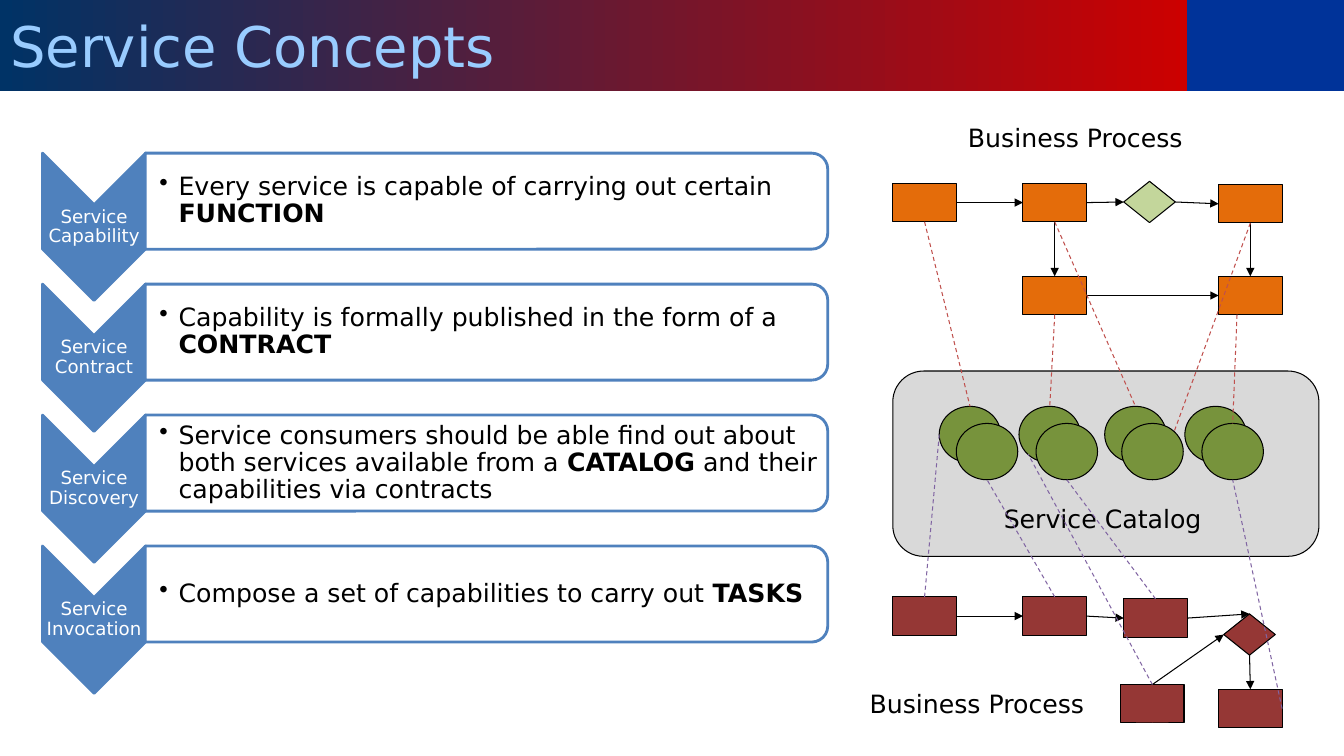
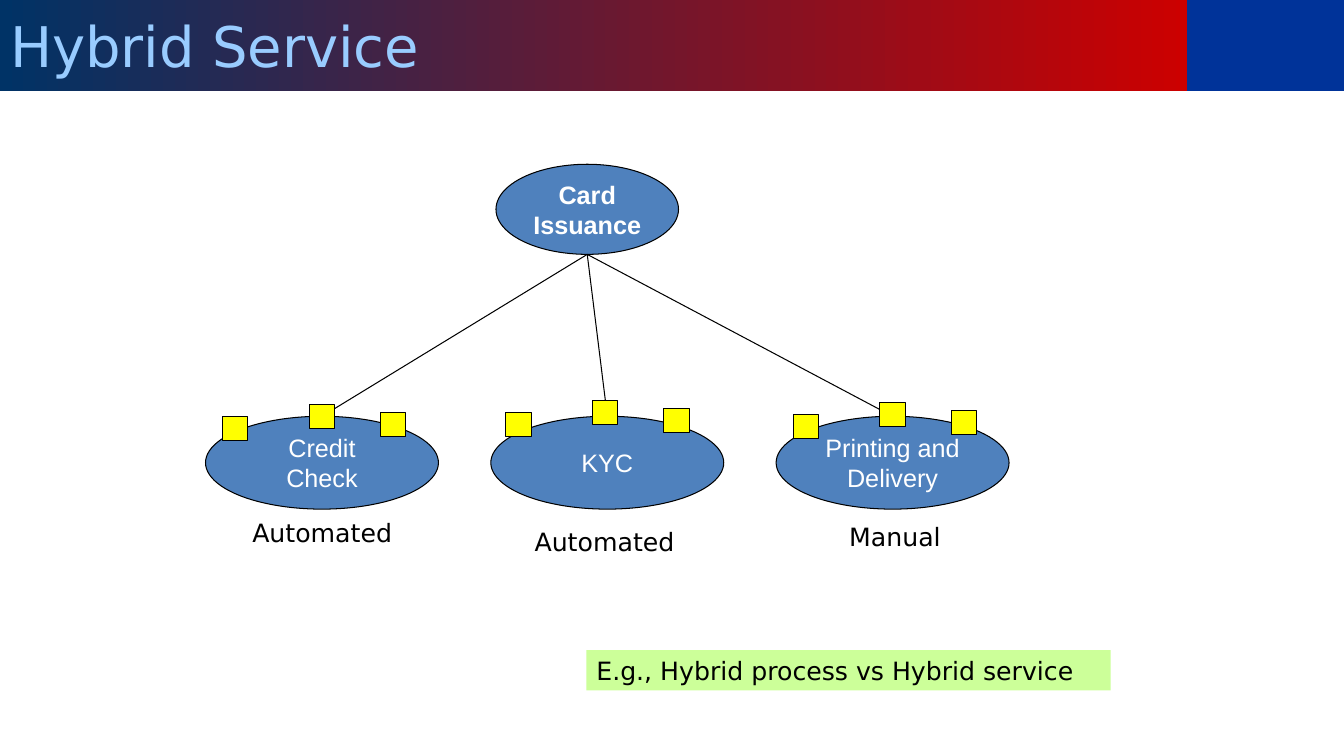
from dataclasses import dataclass
from typing import NamedTuple

from lxml import etree
from pptx import Presentation
from pptx.dml.color import RGBColor
from pptx.enum.dml import MSO_LINE
from pptx.enum.shapes import MSO_CONNECTOR, MSO_SHAPE
from pptx.enum.text import MSO_ANCHOR, PP_ALIGN
from pptx.oxml.ns import qn
from pptx.util import Cm, Pt

RECTANGLE = MSO_SHAPE.RECTANGLE
DIAMOND = MSO_SHAPE.DIAMOND
OVAL = MSO_SHAPE.OVAL
CHEVRON = MSO_SHAPE.CHEVRON
ROUNDED = MSO_SHAPE.ROUNDED_RECTANGLE
ROUND_TOP = MSO_SHAPE.ROUND_2_SAME_RECTANGLE
STRAIGHT = MSO_CONNECTOR.STRAIGHT
DASH = MSO_LINE.DASH
LEFT_ALIGN, CENTER = PP_ALIGN.LEFT, PP_ALIGN.CENTER
MIDDLE = MSO_ANCHOR.MIDDLE

SANS, ARIAL = "DejaVu Sans", "Arial"
TITLE_ONLY = 5
BAND_HEIGHT = 2.29
TITLE_WIDTH = 29.92
SLIDE_WIDTH, SLIDE_HEIGHT = 33.87, 19.05

COLORS = {
    "black": "000000", "white": "FFFFFF", "band": "003399",
    "title": "99CCFF", "title_start": "003366", "title_end": "CC0000",
    "blue": "4F81BD", "catalog": "D9D9D9", "orange": "E46C0A",
    "pale_green": "C3D69B", "green": "77933C", "maroon": "953735",
    "red": "C0504D", "purple": "8064A2", "yellow": "FFFF00", "note": "CCFF99",
}


class Box(NamedTuple):
    left: float
    top: float
    width: float
    height: float


class Side(NamedTuple):
    """A point on a shape, as fractions of its width and height."""
    across: float
    down: float


TOP, LEFT, BOTTOM, RIGHT = Side(0.5, 0), Side(0, 0.5), Side(0.5, 1), Side(1, 0.5)
TOP_RIGHT, BOTTOM_LEFT = Side(0.85, 0.15), Side(0.15, 0.85)
BOTTOM_EDGE = Side(0.29, 1)
SITES = {TOP: 0, LEFT: 1, BOTTOM: 2, RIGHT: 3}


@dataclass(frozen=True)
class Node:
    name: str
    left: float
    top: float
    color: str
    kind: int = RECTANGLE
    width: float = 1.6
    height: float = 0.97


class Link(NamedTuple):
    start: str
    start_side: Side
    end: str
    end_side: Side


class Label(NamedTuple):
    text: str
    box: Box


class Step(NamedTuple):
    name: str
    before: str
    keyword: str
    after: str = ""


class Service(NamedTuple):
    name: str
    left: float
    tags_left: float
    tags_top: float


def diamond(name: str, left: float, top: float, color: str) -> Node:
    return Node(name, left, top, color, DIAMOND, 1.3, 1.04)


STEPS = [
    Step("Service Capability",
         "Every service is capable of carrying out certain ", "FUNCTION"),
    Step("Service Contract",
         "Capability is formally published in the form of a ", "CONTRACT"),
    Step("Service Discovery",
         "Service consumers should be able find out about both services "
         "available from a ", "CATALOG", " and their capabilities via contracts"),
    Step("Service Invocation",
         "Compose a set of capabilities to carry out ", "TASKS"),
]
STEP_TOP, STEP_PITCH = 3.86, 3.3

PROCESS_NODES = [
    Node("order", 22.5, 4.62, "orange"),
    Node("review", 25.78, 4.62, "orange"),
    Node("finish", 30.71, 4.65, "orange"),
    Node("prepare", 25.78, 6.96, "orange"),
    diamond("choice", 28.32, 4.57, "pale_green"),
    Node("deliver", 30.71, 6.96, "orange"),
    Node("request", 22.5, 15.04, "maroon"),
    Node("check", 25.78, 15.04, "maroon"),
    Node("retry", 28.24, 17.25, "maroon"),
    Node("assess", 28.32, 15.09, "maroon"),
    diamond("decision", 30.84, 15.47, "maroon"),
    Node("close", 30.71, 17.37, "maroon"),
]
SERVICE_LEFTS = [23.67, 25.68, 27.84, 29.86]
SERVICE_NODES = [
    Node(f"{layer}{number}", left + shift, 10.24 + shift, "green", OVAL, 1.55, 1.42)
    for layer, shift in (("back", 0), ("front", 0.43))
    for number, left in enumerate(SERVICE_LEFTS, 1)
]

FLOW_LINKS = [
    Link("order", RIGHT, "review", LEFT),
    Link("review", RIGHT, "choice", LEFT),
    Link("choice", RIGHT, "finish", LEFT),
    Link("finish", BOTTOM, "deliver", TOP),
    Link("review", BOTTOM, "prepare", TOP),
    Link("prepare", RIGHT, "deliver", LEFT),
    Link("request", RIGHT, "check", LEFT),
    Link("retry", TOP, "decision", LEFT),
    Link("decision", BOTTOM, "close", TOP),
    Link("check", RIGHT, "assess", LEFT),
    Link("assess", RIGHT, "decision", TOP),
]
UPPER_LINKS = [
    Link("order", BOTTOM, "back1", TOP),
    Link("review", BOTTOM, "back3", TOP),
    Link("finish", BOTTOM, "front3", TOP_RIGHT),
    Link("prepare", BOTTOM, "back2", TOP),
    Link("deliver", BOTTOM_EDGE, "front4", TOP),
]
LOWER_LINKS = [
    Link("request", TOP, "back1", LEFT),
    Link("check", TOP, "front1", BOTTOM),
    Link("assess", TOP, "front2", BOTTOM),
    Link("retry", TOP, "back2", BOTTOM_LEFT),
    Link("close", RIGHT, "front4", BOTTOM),
]
CONCEPT_LABELS = [
    Label("Business Process", Box(24.1, 2.97, 6, 1.02)),
    Label("Service Catalog", Box(25.02, 12.55, 5.54, 1.02)),
    Label("Business Process", Box(21.62, 17.22, 6, 1.02)),
]

SERVICES = [
    Service("Credit Check", 5.18, 5.61, 10.49),
    Service("KYC", 12.37, 12.75, 10.39),
    Service("Printing and Delivery", 19.56, 19.99, 10.44),
]
TAG_OFFSETS = [(0, 0), (2.18, -0.3), (3.98, -0.1)]
SERVICE_LABELS = [
    Label("Automated", Box(6.1, 12.9, 4.04, 1.02)),
    Label("Automated", Box(12.67, 13.13, 5.13, 1.02)),
    Label("Manual", Box(19.99, 13, 5.13, 1.02)),
]


def rgb(name: str) -> RGBColor:
    return RGBColor.from_string(COLORS[name])


def lengths(box: Box) -> list:
    return [Cm(value) for value in box]


def add_shape(page, kind, box: Box, fill: str, line: str | None = "black",
              line_width: float = 0.75):
    shape = page.shapes.add_shape(kind, *lengths(box))
    shape.shadow.inherit = False
    shape.fill.solid()
    shape.fill.fore_color.rgb = rgb(fill)
    if line:
        shape.line.color.rgb = rgb(line)
        shape.line.width = Pt(line_width)
    else:
        shape.line.fill.background()
    return shape


def add_turned_shape(page, kind, box: Box, fill: str) -> None:
    """Turn a shape a quarter to the right so that it covers the box."""
    shift = (box.width - box.height) / 2
    upright = Box(box.left + shift, box.top - shift, box.height, box.width)
    add_shape(page, kind, upright, fill, "blue", 2).rotation = 90


def style_paragraph(para, size: float, color: str, align=LEFT_ALIGN,
                    font: str = SANS, bold: bool | None = None) -> None:
    para.alignment = align
    para.font.size = Pt(size)
    para.font.name = font
    para.font.bold = bold
    para.font.color.rgb = rgb(color)


def add_text_frame(page, box: Box, side_margin: float, margin: float):
    frame = page.shapes.add_textbox(*lengths(box)).text_frame
    frame.word_wrap = True
    frame.vertical_anchor = MIDDLE
    frame.margin_left = Cm(side_margin)
    frame.margin_right = frame.margin_top = frame.margin_bottom = Cm(margin)
    return frame


def add_label(page, label: Label) -> None:
    frame = page.shapes.add_textbox(*lengths(label.box)).text_frame
    frame.word_wrap = False
    frame.text = label.text
    style_paragraph(frame.paragraphs[0], 18, "black", CENTER)


def add_oval(page, text: str, box: Box, bold: bool = False):
    oval = add_shape(page, OVAL, box, "blue")
    oval.text_frame.text = text
    oval.text_frame.vertical_anchor = MIDDLE
    style_paragraph(oval.text_frame.paragraphs[0], 18, "white", CENTER, ARIAL, bold)
    return oval


def add_link(page, start, start_side: Side, end, end_side: Side,
             color: str = "black", dashed: bool = False, arrow: bool = False) -> None:
    ends = [(start, start_side), (end, end_side)]
    points = [
        length
        for shape, side in ends
        for length in (shape.left + int(shape.width * side.across),
                       shape.top + int(shape.height * side.down))
    ]
    connector = page.shapes.add_connector(STRAIGHT, *points)
    for (shape, side), connect in zip(ends, (connector.begin_connect,
                                             connector.end_connect)):
        # An ellipse shares only its top site number with a rectangle.
        if side == TOP or (side in SITES and shape.auto_shape_type != OVAL):
            connect(shape, SITES[side])
    connector.line.color.rgb = rgb(color)
    connector.line.width = Pt(0.75)
    if dashed:
        connector.line.dash_style = DASH
    properties = connector.element.spPr
    if arrow:
        etree.SubElement(properties.get_or_add_ln(), qn("a:tailEnd"), type="triangle")
    etree.SubElement(properties, qn("a:effectLst"))


def add_step(page, step: Step, top: float) -> None:
    add_turned_shape(page, CHEVRON, Box(1.07, top, 2.6, 3.71), "blue")
    name = add_text_frame(page, Box(1.07, top + 1.3, 2.6, 1.12), 0.03, 0.03)
    name.text = step.name
    name.paragraphs[0].line_spacing = 0.9
    style_paragraph(name.paragraphs[0], 13, "white", CENTER)

    add_turned_shape(page, ROUND_TOP, Box(3.66, top, 17.2, 2.42), "white")
    frame = add_text_frame(page, Box(3.66, top + 0.12, 17.07, 2.18), 0.36, 0.03)
    para = frame.paragraphs[0]
    para.line_spacing = 0.9
    properties = para._p.get_or_add_pPr()
    properties.set("marL", str(Cm(0.48)))
    properties.set("indent", str(-Cm(0.48)))
    etree.SubElement(properties, qn("a:buChar"), char="•")
    style_paragraph(para, 18, "black")
    for text in filter(None, (step.before, step.keyword, step.after)):
        span = para.add_run()
        span.text = text
        if text == step.keyword:
            span.font.bold = True


def add_page(deck, layout, title: str):
    page = deck.slides.add_slide(layout)
    bar = page.shapes.title
    bar.left, bar.top, bar.width, bar.height = lengths(
        Box(0, 0, TITLE_WIDTH, BAND_HEIGHT))
    bar.fill.gradient()
    bar.fill.gradient_angle = 0
    for stop, color in zip(bar.fill.gradient_stops, ("title_start", "title_end")):
        stop.color.rgb = rgb(color)
    bar.text_frame.text = title
    bar.text_frame.vertical_anchor = MIDDLE
    style_paragraph(bar.text_frame.paragraphs[0], 40, "title")
    return page


def move_band_to_layout(page, layout) -> None:
    box = Box(TITLE_WIDTH, 0, SLIDE_WIDTH - TITLE_WIDTH, BAND_HEIGHT)
    band = add_shape(page, RECTANGLE, box, "band", None)
    band.element.nvSpPr.cNvPr.set("id", "99")
    layout.shapes.element.append(band.element)


def draw_concepts(page) -> None:
    catalog = Box(22.5, 9.35, 10.74, 4.67)
    add_shape(page, ROUNDED, catalog, "catalog")
    for index, step in enumerate(STEPS):
        add_step(page, step, STEP_TOP + index * STEP_PITCH)
    shapes = {
        node.name: add_shape(
            page, node.kind, Box(node.left, node.top, node.width, node.height), node.color)
        for node in PROCESS_NODES + SERVICE_NODES
    }
    for label in CONCEPT_LABELS:
        add_label(page, label)
    for links, color, dashed in ((FLOW_LINKS, "black", False),
                                 (UPPER_LINKS, "red", True),
                                 (LOWER_LINKS, "purple", True)):
        for link in links:
            add_link(page, shapes[link.start], link.start_side, shapes[link.end],
                     link.end_side, color, dashed, arrow=not dashed)


def draw_hybrid(page) -> None:
    parent = add_oval(page, "Card Issuance", Box(12.5, 4.14, 4.6, 2.27), bold=True)
    for service in SERVICES:
        oval = add_oval(page, service.name, Box(service.left, 10.49, 5.87, 2.34))
        add_link(page, parent, BOTTOM, oval, TOP)
        for right, down in TAG_OFFSETS:
            tag = Box(service.tags_left + right, service.tags_top + down, 0.64, 0.61)
            add_shape(page, RECTANGLE, tag, "yellow")
    for label in SERVICE_LABELS:
        add_label(page, label)
    note = add_shape(page, RECTANGLE, Box(14.78, 16.38, 13.21, 1.02), "note", None)
    note.text_frame.text = "E.g., Hybrid process vs Hybrid service"
    style_paragraph(note.text_frame.paragraphs[0], 18, "black")


def main() -> None:
    deck = Presentation()
    deck.slide_width, deck.slide_height = Cm(SLIDE_WIDTH), Cm(SLIDE_HEIGHT)
    layout = deck.slide_layouts[TITLE_ONLY]
    concepts = add_page(deck, layout, "Service Concepts")
    move_band_to_layout(concepts, layout)
    draw_concepts(concepts)
    draw_hybrid(add_page(deck, layout, "Hybrid Service"))
    deck.save("out.pptx")


if __name__ == "__main__":
    main()
